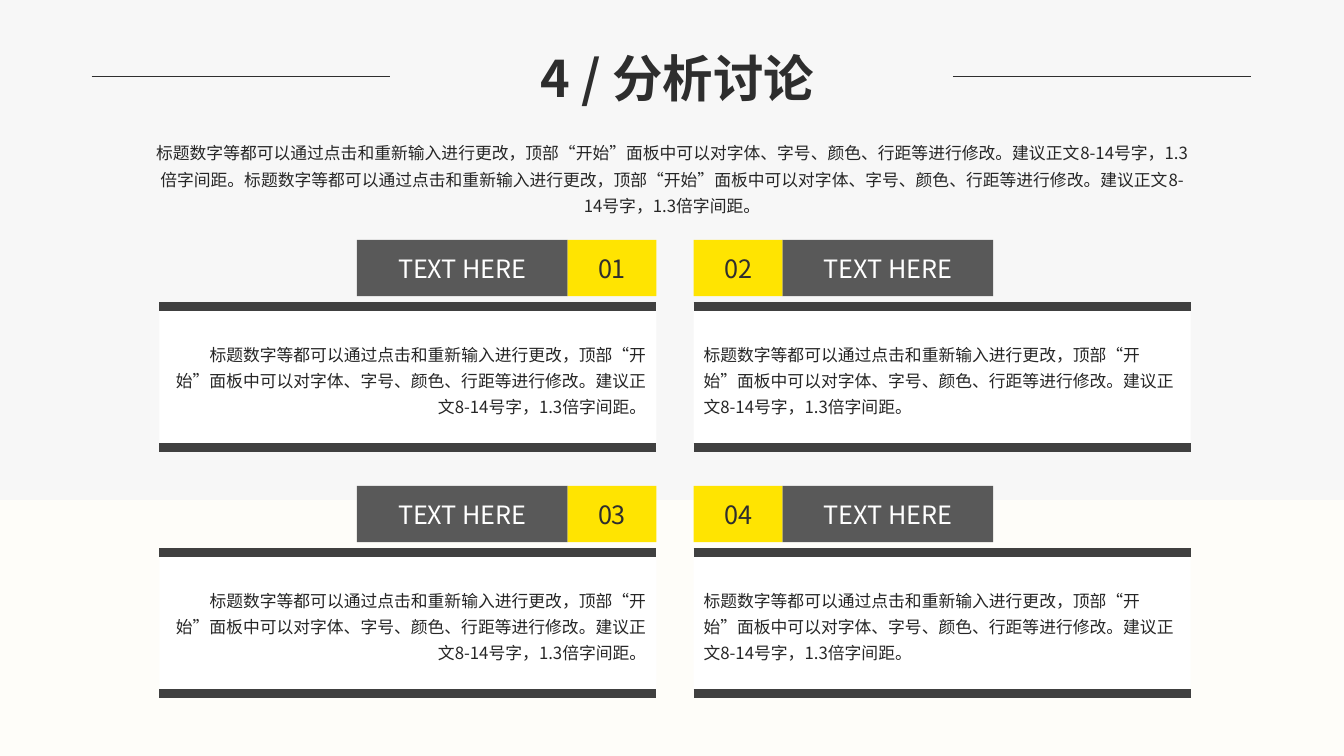
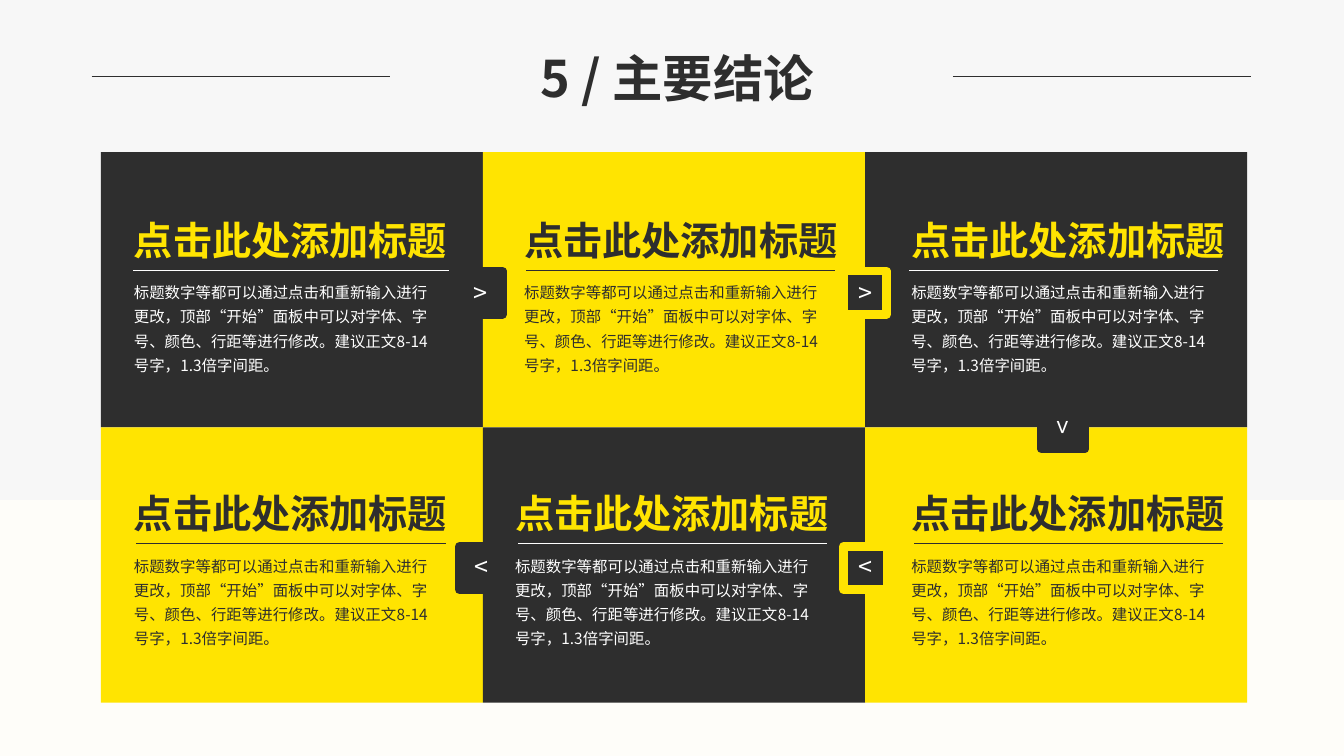
from collections import namedtuple

from lxml import etree
from pptx import Presentation
from pptx.dml.color import RGBColor
from pptx.enum.shapes import MSO_CONNECTOR, MSO_SHAPE
from pptx.enum.text import MSO_ANCHOR, MSO_AUTO_SIZE, PP_ALIGN
from pptx.oxml.ns import qn
from pptx.util import Inches, Pt

RECTANGLE = MSO_SHAPE.RECTANGLE
STRAIGHT = MSO_CONNECTOR.STRAIGHT
TOP, MIDDLE = MSO_ANCHOR.TOP, MSO_ANCHOR.MIDDLE
LEFT, CENTER, RIGHT = PP_ALIGN.LEFT, PP_ALIGN.CENTER, PP_ALIGN.RIGHT
FIXED = MSO_AUTO_SIZE.NONE

PAPER = RGBColor(0xF7, 0xF7, 0xF7)
CREAM = RGBColor(0xFE, 0xFD, 0xF9)
WHITE = RGBColor(0xFF, 0xFF, 0xFF)
YELLOW = RGBColor(0xFF, 0xE4, 0x01)
INK = RGBColor(0x2E, 0x2E, 0x2E)
BODY_INK = RGBColor(0x26, 0x26, 0x26)
BAR_GRAY = RGBColor(0x40, 0x40, 0x40)
TAB_GRAY = RGBColor(0x59, 0x59, 0x59)

FONT = "Noto Sans CJK SC"
PAGE_WIDTH, PAGE_HEIGHT = 13.33, 7.5
BAND_TOP = 4.96
HEADER_RULE_Y = 0.76
BODY_TEXT = ("标题数字等都可以通过点击和重新输入进行更改，顶部“开始”面板中可以对字体、"
             "字号、颜色、行距等进行修改。建议正文8-14号字，1.3倍字间距。")

Box = namedtuple("Box", "left top width height")


def inches(box):
    return [Inches(value) for value in box]


def write(shape, text, size, color, align=LEFT, anchor=TOP, wrap=True,
          bold=False, spacing=None):
    frame = shape.text_frame
    for name, value in {"word_wrap": wrap, "auto_size": FIXED,
                        "vertical_anchor": anchor}.items():
        setattr(frame, name, value)
    para = frame.paragraphs[0]
    para.alignment = align
    if spacing:
        para.line_spacing = spacing
    span = para.add_run()
    span.text = text
    for name, value in {"size": Pt(size), "bold": bold, "name": FONT}.items():
        setattr(span.font, name, value)
    span.font.color.rgb = color
    east_asian = etree.SubElement(span.font._element, qn("a:ea"))
    east_asian.set("typeface", FONT)


def add_block(page, box, fill, border=None):
    """Add a flat rectangle, with a 6 pt border if a colour is given."""
    block = page.shapes.add_shape(RECTANGLE, *inches(box))
    block.shadow.inherit = False
    block.fill.solid()
    block.fill.fore_color.rgb = fill
    if border is None:
        block.line.fill.background()
    else:
        block.line.color.rgb = border
        block.line.width = Pt(6)
    return block


def add_rule(page, left, y, width, color, weight):
    rule = page.shapes.add_connector(
        STRAIGHT, *inches((left, y, left + width, y)))
    rule.line.color.rgb = color
    rule.line.width = Pt(weight)
    etree.SubElement(rule._element.spPr, qn("a:effectLst"))


def add_text(page, box, *args, **formats):
    write(page.shapes.add_textbox(*inches(box)), *args, **formats)


def style_master(deck, page):
    """Put the background and the lower band on the slide master."""
    master = deck.slide_master
    master.background.fill.solid()
    master.background.fill.fore_color.rgb = PAPER
    band = add_block(page, Box(0, BAND_TOP, PAGE_WIDTH, PAGE_HEIGHT - BAND_TOP), CREAM)
    master.shapes[0].element.addprevious(band.element)


def add_page(deck, heading):
    page = deck.slides.add_slide(deck.slide_layouts[5])
    title = page.shapes.title
    box = inches(Box(5.05, 0.41, 3.22, 0.71))
    for name, value in zip(("left", "top", "width", "height"), box):
        setattr(title, name, value)
    write(title, heading, 36, INK, CENTER, MIDDLE, wrap=False, bold=True)
    for left in (0.91, 9.45):
        add_rule(page, left, HEADER_RULE_Y, 2.96, INK, 0.5)
    return page


def add_panel(page, box, number, mirrored):
    """Add a card under a numbered tab; the number faces the page centre."""
    tab_height, number_width, label_width, card_offset = 0.56, 0.88, 2.09, 0.66
    right = box.left + box.width
    if mirrored:
        number_left, label_left, align = box.left, box.left + number_width, LEFT
    else:
        number_left, align = right - number_width, RIGHT
        label_left = number_left - label_width

    card_top = box.top + card_offset
    add_block(page, Box(box.left, card_top, box.width, box.height - card_offset), WHITE)
    for left, width, fill, text, color in (
            (label_left, label_width, TAB_GRAY, "TEXT HERE", WHITE),
            (number_left, number_width, YELLOW, f"{number:02}", INK)):
        tab = add_block(page, Box(left, box.top, width, tab_height), fill)
        write(tab, text, 18, color, CENTER, MIDDLE)
    for y in (card_top, box.top + box.height):
        add_rule(page, box.left, y, box.width, BAR_GRAY, 6)
    add_text(page, Box(box.left, box.top + 0.93, box.width, 0.89), BODY_TEXT,
             12, BODY_INK, align, spacing=1.3)


def add_discussion(page):
    add_text(page, Box(1.44, 1.31, 10.45, 0.89), BODY_TEXT * 2,
             12, BODY_INK, CENTER, spacing=1.3)
    for index in range(4):
        row, column = divmod(index, 2)
        box = Box(1.58 + 5.3 * column, 2.38 + 2.44 * row, 4.93, 2.06)
        add_panel(page, box, index + 1, mirrored=column == 1)


def add_tile_text(page, box, dark, inset, rule_inset, rule_width, rise):
    heading_color, color = (YELLOW, WHITE) if dark else (INK, INK)
    left, top = box.left + inset, box.top + 0.59 - rise
    add_text(page, Box(left, top, 3.35, 0.57), "点击此处添加标题",
             28, heading_color, bold=True)
    add_text(page, Box(left, top + 0.61, 3.14, 1.06), BODY_TEXT,
             11, color, spacing=1.3)
    add_rule(page, left + rule_inset, top + 0.58, rule_width, color, 0.5)


def add_marker(page, center_x, center_y, border, turn):
    side = 0.43
    box = Box(center_x - side / 2, center_y - side / 2, side, side)
    marker = add_block(page, box, INK, border)
    marker.rotation = turn
    write(marker, ">", 18, WHITE, CENTER, MIDDLE)


def add_conclusions(page, grid):
    """Fill the grid with a checkerboard of tiles joined by arrow markers."""
    width, height = grid.width / 3, grid.height / 2
    # text inset, rule inset and rule width of each tile
    insets = (((0.23, 0.09, 3.13), (0.31, 0.12, 3.06), (0.36, 0.08, 3.06)),
              ((0.23, 0.12, 3.07), (0.22, 0.13, 3.06), (0.36, 0.13, 3.06)))
    tiles = []
    for row, row_insets in enumerate(insets):
        for column, tile_insets in enumerate(row_insets):
            box = Box(grid.left + width * column, grid.top + height * row, width, height)
            dark = (row + column) % 2 == 0
            add_block(page, box, INK if dark else YELLOW)
            tiles.append((box, dark, *tile_insets, 0.02 * row))

    for row, turn in enumerate((0, 180)):
        y = grid.top + height * (row + 0.5) + 0.03
        add_marker(page, grid.left + width - 0.02, y, INK, turn)
        add_marker(page, grid.left + width * 2, y, YELLOW, turn)
    add_marker(page, grid.left + width * 2.5 + 0.07, grid.top + height, INK, 90)

    for tile in tiles:
        add_tile_text(page, *tile)


def main():
    deck = Presentation()
    deck.slide_width, deck.slide_height = inches((PAGE_WIDTH, PAGE_HEIGHT))
    discussion = add_page(deck, " 4 / 分析讨论")
    style_master(deck, discussion)
    add_discussion(discussion)
    conclusions = add_page(deck, " 5 / 主要结论")
    add_conclusions(conclusions, Box(1, 1.51, 11.37, 5.46))
    deck.save("out.pptx")


if __name__ == "__main__":
    main()
